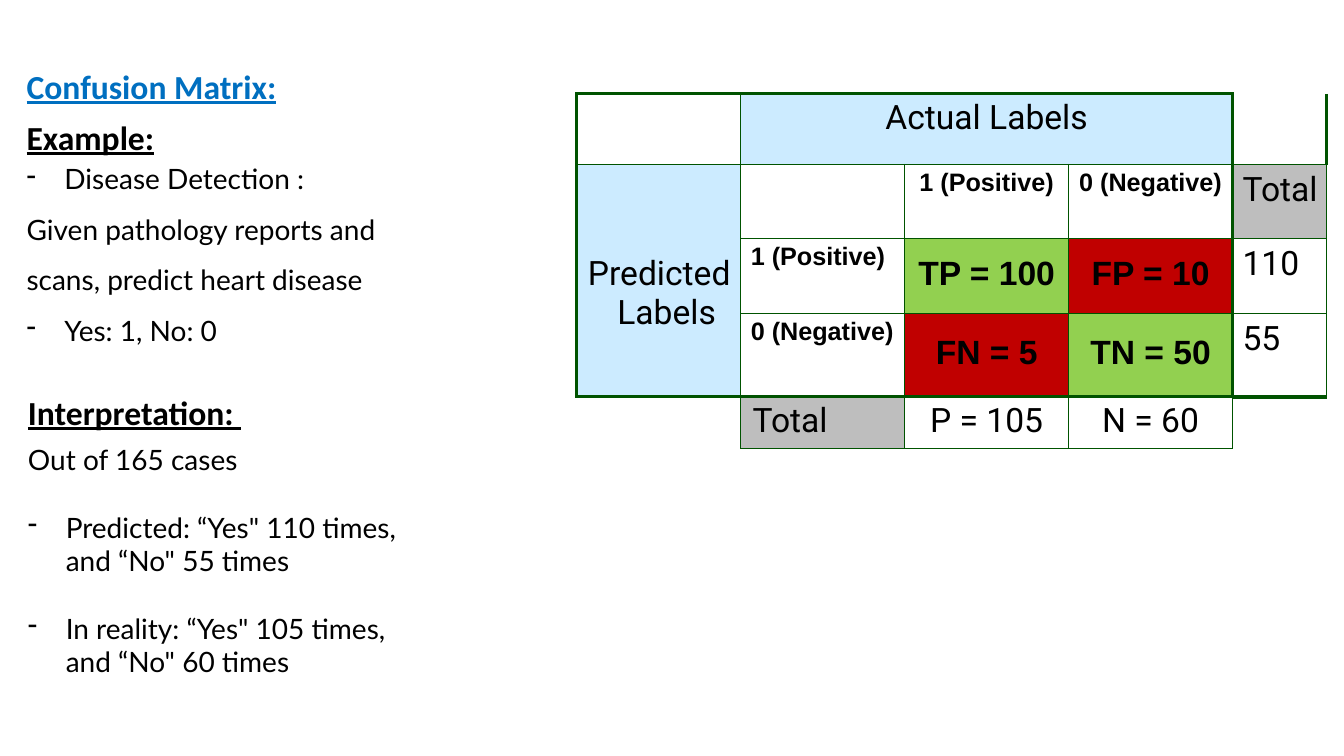
from lxml.etree import SubElement
from pptx import Presentation
from pptx.dml.color import RGBColor
from pptx.enum.text import MSO_ANCHOR, PP_ALIGN
from pptx.oxml.ns import qn
from pptx.util import Pt

BLACK = RGBColor(0, 0, 0)
BLUE = RGBColor(0x00, 0x6F, 0xC0)
PALE_BLUE = RGBColor(0xCC, 0xEB, 0xFF)
GREY = RGBColor(0xBE, 0xBE, 0xBE)
GREEN = RGBColor(0x92, 0xD0, 0x50)
RED = RGBColor(0xC0, 0x00, 0x00)
BORDER = "005300"

HEADING = "Confusion Matrix:"
NOTES = [
    ("Example:", "heading", 0, 1),
    ("Disease Detection :", "bullet", 3.3, 1),
    ("Given pathology reports and\vscans, predict heart disease", "plain", 0, 1.5),
    ("Yes: 1, No: 0", "bullet", 12, 1),
    ("Interpretation: ", "heading", 32, 1),
    ("Out of 165 cases", "plain", 8, 1),
    ("Predicted: “Yes\" 110 times,\vand “No\" 55 times", "bullet", 24, 1),
    ("In reality: “Yes\" 105 times,\vand “No\" 60 times", "bullet", 24, 1),
]

COLUMN_WIDTHS = [117.1, 117.1, 117.1, 117.1, 67]
ROW_HEIGHTS = [50.5, 53, 53.5, 59.5, 37]
MATRIX = [
    ["", "Actual Labels", "", "", ""],
    ["Predicted\vLabels", "", "1 (Positive)", "0 (Negative)", "Total"],
    ["", "1 (Positive)", "TP = 100", "FP = 10", "110"],
    ["", "0 (Negative)", "FN = 5", "TN = 50", "55"],
    ["", "Total", "P = 105", "N = 60", ""],
]
SPANS = {(0, 1): (1, 3), (1, 0): (3, 1)}
FILLS = {
    (0, 1): PALE_BLUE, (1, 0): PALE_BLUE, (1, 4): GREY, (4, 1): GREY,
    (2, 2): GREEN, (3, 3): GREEN, (2, 3): RED, (3, 2): RED,
}
CLASS_LABELS = {(1, 2), (1, 3), (2, 1), (3, 1)}
OUTCOMES = {(2, 2), (2, 3), (3, 2), (3, 3)}
VERTICAL_WEIGHTS = [
    [2.25, 1, 1, 1, 2.25, 2.25],
    [2.25, 1, 1, 1, 2.25, 1],
    [2.25, 1, 1, 1, 2.25, 1],
    [2.25, 1, 1, 1, 2.25, 1],
    [0, 1, 1, 1, 1, 0],
]
HORIZONTAL_WEIGHTS = [
    [2.25, 2.25, 2.25, 2.25, 0],
    [1, 1, 1, 1, 1],
    [1, 1, 1, 1, 1],
    [1, 1, 1, 1, 1],
    [2.25, 2.25, 2.25, 2.25, 3],
    [0, 1, 1, 1, 0],
]


def format_runs(paragraph, font_name, size, color=BLACK, bold=False, underline=False):
    for run in paragraph.runs:
        font = run.font
        font.name, font.size, font.bold, font.underline = font_name, Pt(size), bold, underline
        font.color.rgb = color


def set_indent(paragraph, left, first=0):
    properties = paragraph._p.get_or_add_pPr()
    properties.set("marL", str(int(Pt(left))))
    properties.set("indent", str(int(Pt(first))))
    return properties


def set_insets(frame, top=0):
    frame.margin_left = frame.margin_right = frame.margin_bottom = 0
    frame.margin_top = Pt(top)


def draw_borders(cell, weights):
    properties = cell._tc.get_or_add_tcPr()
    for side, weight in zip("LRTB", weights):
        line = SubElement(properties, qn(f"a:ln{side}"), w=str(int(Pt(weight))))
        if weight:
            fill = SubElement(line, qn("a:solidFill"))
            SubElement(fill, qn("a:srgbClr"), val=BORDER)
        else:
            SubElement(line, qn("a:noFill"))


def fill_cell(table, row, column):
    cell = table.cell(row, column)
    rows, columns = SPANS.get((row, column), (1, 1))
    draw_borders(cell, [
        VERTICAL_WEIGHTS[row][column], VERTICAL_WEIGHTS[row][column + columns],
        HORIZONTAL_WEIGHTS[row][column], HORIZONTAL_WEIGHTS[row + rows][column],
    ])
    if (row, column) in FILLS:
        cell.fill.solid()
        cell.fill.fore_color.rgb = FILLS[row, column]
    else:
        cell.fill.background()
    set_insets(cell, 4 if column == 4 else 3)
    if not MATRIX[row][column]:
        return
    cell.text_frame.text = MATRIX[row][column]
    label = cell.text_frame.paragraphs[0]
    if (row, column) in OUTCOMES:
        cell.margin_top, cell.margin_bottom = 0, Pt(3)
        cell.vertical_anchor = MSO_ANCHOR.MIDDLE
        format_runs(label, "Arial", 24, bold=True)
    elif (row, column) in CLASS_LABELS:
        format_runs(label, "Arial", 18, bold=True)
    else:
        format_runs(label, "Roboto", 24)
    if column == 0:
        cell.margin_top = Pt(64)
        set_indent(label, 29, -21)
    elif column == 4 or (column == 1 and row > 0):
        set_indent(label, 8.5 if row == 4 else 7.2)
    else:
        label.alignment = PP_ALIGN.CENTER


def add_matrix(slide):
    table = slide.shapes.add_table(
        len(ROW_HEIGHTS), len(COLUMN_WIDTHS), Pt(412), Pt(67),
        Pt(sum(COLUMN_WIDTHS)), Pt(sum(ROW_HEIGHTS))).table
    table.first_row = table.horz_banding = False
    for column, width in zip(table.columns, COLUMN_WIDTHS):
        column.width = Pt(width)
    for row, height in zip(table.rows, ROW_HEIGHTS):
        row.height = Pt(height)
    for (row, column), (rows, columns) in SPANS.items():
        table.cell(row, column).merge(table.cell(row + rows - 1, column + columns - 1))
    for row in range(len(ROW_HEIGHTS)):
        for column in range(len(COLUMN_WIDTHS)):
            if not table.cell(row, column).is_spanned:
                fill_cell(table, row, column)


def add_heading(slide):
    title = slide.shapes.title
    title.left, title.top, title.width, title.height = Pt(18), Pt(38), Pt(380), Pt(40)
    frame = title.text_frame
    frame.text = HEADING
    frame.vertical_anchor = MSO_ANCHOR.TOP
    set_insets(frame, 9)
    paragraph = frame.paragraphs[0]
    paragraph.alignment = PP_ALIGN.LEFT
    set_indent(paragraph, 1)
    format_runs(paragraph, "Calibri", 24, BLUE, bold=True, underline=True)


def add_notes(slide):
    frame = slide.shapes.add_textbox(Pt(18), Pt(83.5), Pt(380), Pt(368)).text_frame
    frame.word_wrap = True
    set_insets(frame)
    for index, (text, style, space_before, spacing) in enumerate(NOTES):
        paragraph = frame.add_paragraph() if index else frame.paragraphs[0]
        paragraph.text = text
        paragraph.space_before = Pt(space_before)
        paragraph.line_spacing = spacing
        left = 1 if index < 4 else 2
        if style == "bullet":
            properties = set_indent(paragraph, left + 27, -27)
            SubElement(properties, qn("a:buChar"), char="-")
        else:
            set_indent(paragraph, left)
        if style == "heading":
            format_runs(paragraph, "Calibri", 24, bold=True, underline=True)
        else:
            format_runs(paragraph, "Lato", 20)


def main():
    presentation = Presentation()
    presentation.slide_width, presentation.slide_height = Pt(960), Pt(540)
    slide = presentation.slides.add_slide(presentation.slide_layouts[5])
    add_heading(slide)
    add_matrix(slide)
    add_notes(slide)
    presentation.save("out.pptx")


if __name__ == "__main__":
    main()
